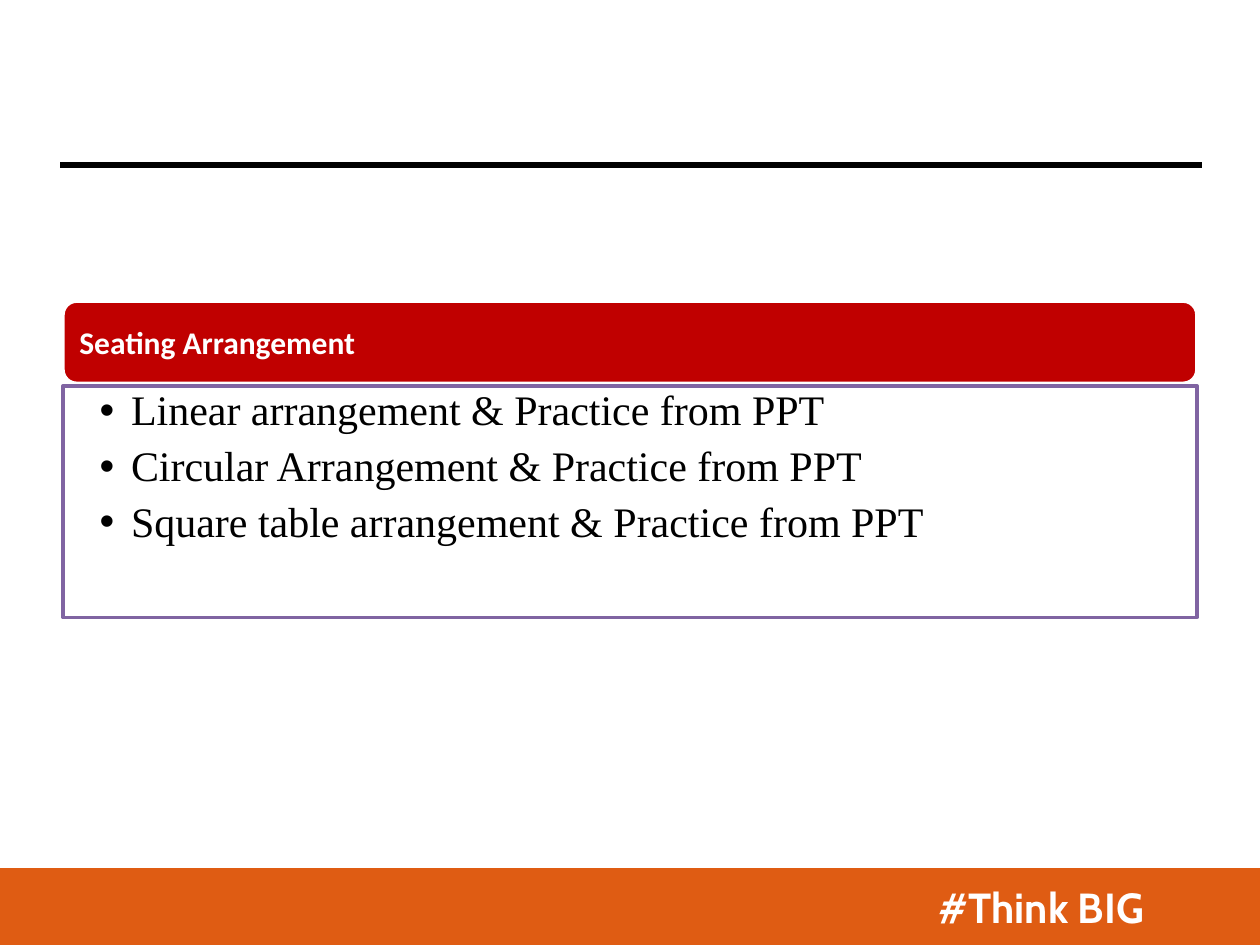
from lxml.etree import SubElement
from pptx import Presentation
from pptx.dml.color import RGBColor
from pptx.enum.shapes import MSO_CONNECTOR, MSO_SHAPE
from pptx.enum.text import MSO_ANCHOR, PP_ALIGN
from pptx.oxml.ns import qn
from pptx.util import Inches, Pt

WIDE, HIGH = 10, 7.5
TOPICS = [
    "Linear arrangement & Practice from PPT",
    "Circular Arrangement & Practice from PPT",
    "Square table arrangement & Practice from PPT",
]


def tint(code):
    """Turn a hex string into a colour."""
    return RGBColor.from_string(code)


def add_box(slide, kind, box, fill, edge):
    """Add a filled, outlined shape without a shadow."""
    shape = slide.shapes.add_shape(kind, *map(Inches, box))
    shape.shadow.inherit = False
    shape.fill.solid()
    shape.fill.fore_color.rgb = tint(fill)
    shape.line.color.rgb = tint(edge)
    shape.line.width = Pt(2)
    return shape


def add_text(shape, lines, face, size, color, insets, anchor, bold=False, align=PP_ALIGN.LEFT):
    """Write one paragraph a line into a shape and return the paragraphs."""
    frame = shape.text_frame
    frame.word_wrap = True
    frame.vertical_anchor = anchor
    frame.margin_left, frame.margin_top, frame.margin_right, frame.margin_bottom = map(Inches, insets)
    frame.text = "\n".join(lines)
    for para in frame.paragraphs:
        para.alignment = align
        para.font.name = face
        para.font.size = Pt(size)
        para.font.bold = bold
        para.font.color.rgb = tint(color)
    return frame.paragraphs


def add_bullet(para):
    """Give a paragraph a hanging bullet."""
    props = para._p.get_or_add_pPr()
    props.set("marL", str(Inches(0.25)))
    props.set("indent", str(-Inches(0.25)))
    SubElement(props, qn("a:buFont")).set("typeface", "Arial")
    SubElement(props, qn("a:buChar")).set("char", "•")


def add_rule(slide, left, right, top):
    """Draw the heavy line below the heading area."""
    rule = slide.shapes.add_connector(
        MSO_CONNECTOR.STRAIGHT, *map(Inches, (left, top, right, top)))
    rule.line.color.rgb = tint("000000")
    rule.line.width = Pt(3)
    SubElement(rule._element.spPr, qn("a:effectLst"))


def add_footer(slide, box):
    """Draw the footer band with its slogan."""
    band = add_box(slide, MSO_SHAPE.RECTANGLE, box, "DF5C13", "DF5C13")
    add_text(band, ["#Think BIG"], "Cabin", 24, "FFFFFF", (0.1, 0.05, 0.92, 0.05),
             MSO_ANCHOR.MIDDLE, True, PP_ALIGN.RIGHT)


def add_panel(slide, box, title, topics):
    """Draw a header bar above a framed list of topics."""
    left, top, width, height = box
    bar, gap = 0.26 * height, 0.02
    head = add_box(slide, MSO_SHAPE.ROUNDED_RECTANGLE, (left, top, width, bar), "C00000", "FFFFFF")
    add_text(head, [title], "Calibri", 18, "FFFFFF", (0.1,) * 4, MSO_ANCHOR.MIDDLE, True)
    body = add_box(slide, MSO_SHAPE.RECTANGLE,
                   (left, top + bar + gap, width, height - bar - gap), "FFFFFF", "8064A2")
    paras = add_text(body, topics, "Times New Roman", 24, "000000",
                     (0.29, 0.03, 0.19, 0.03), MSO_ANCHOR.TOP)
    for para in paras:
        para.line_spacing = 0.9
        para.space_after = Pt(6)
        add_bullet(para)


def main():
    """Build the slide and save it."""
    deck = Presentation()
    deck.slide_width, deck.slide_height = Inches(WIDE), Inches(HIGH)
    slide = deck.slides.add_slide(deck.slide_layouts[6])
    add_rule(slide, 0.48, 9.54, 1.31)
    add_footer(slide, (0, 0.92 * HIGH, WIDE, 0.08 * HIGH))
    add_panel(slide, (0.05 * WIDE, 2.39, 0.9 * WIDE, 2.51), "Seating Arrangement", TOPICS)
    deck.save("out.pptx")


if __name__ == "__main__":
    main()
